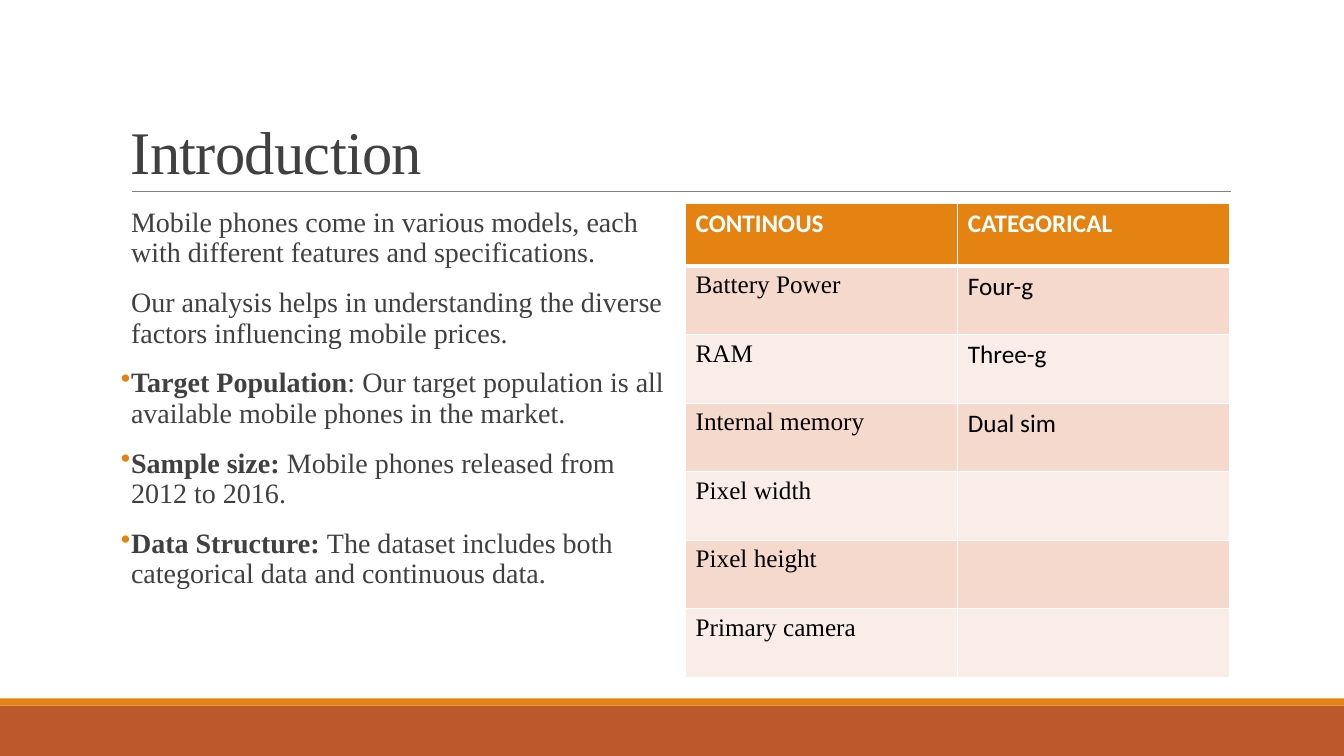
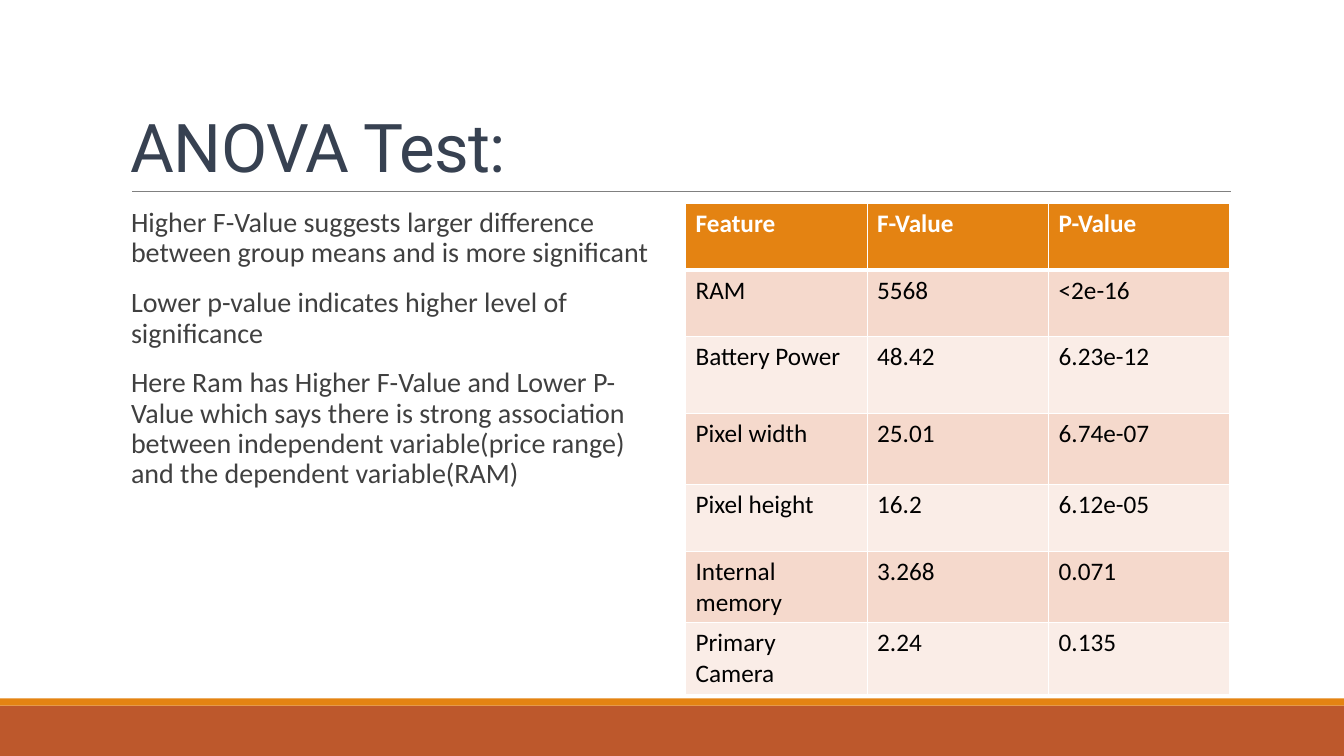
from dataclasses import dataclass

from lxml.etree import SubElement
from pptx import Presentation
from pptx.dml.color import RGBColor
from pptx.enum.shapes import MSO_CONNECTOR, MSO_SHAPE
from pptx.enum.text import MSO_ANCHOR
from pptx.oxml.ns import qn
from pptx.util import Inches, Pt


@dataclass(frozen=True)
class Theme:
    """Colours, fonts and type sizes of the presentation."""

    orange: str = "E48312"
    rust: str = "BD582C"
    rule: str = "808080"
    ink: str = "404040"
    slate: str = "374151"
    white: str = "FFFFFF"
    black: str = "000000"
    bands: tuple = ("F5D9CC", "FAEDE7")
    serif: str = "Times New Roman"
    sans: str = "Calibri"
    display: str = "Roboto"
    body_size: float = 20
    table_size: float = 18


@dataclass(frozen=True)
class Box:
    """A rectangle in inches."""

    left: float
    top: float
    width: float
    height: float

    def lengths(self):
        """Return the four measures as lengths."""
        return [Inches(value) for value in (self.left, self.top, self.width, self.height)]


THEME = Theme()
PAGE = Box(0, 0, 13.33, 7.5)
TITLE = Box(1.2, 0.31, 11, 1.59)
BODY = Box(1.2, 2.02, 5.4, 4.4)
TABLE = Box(6.8, 2.02, 5.4, 4.83)
FOOTER_HEIGHT = 0.5
STRIPE_HEIGHT = 0.07
BULLET_INDENT = 0.1


def style_run(run, font_name, size, colour, bold=False):
    """Format one run of text."""
    run.font.name = font_name
    run.font.size = Pt(size)
    run.font.color.rgb = RGBColor.from_string(colour)
    run.font.bold = bold


def add_band(slide, box, colour):
    """Draw a flat band without outline."""
    shape = slide.shapes.add_shape(MSO_SHAPE.RECTANGLE, *box.lengths())
    shape.shadow.inherit = False
    shape.fill.solid()
    shape.fill.fore_color.rgb = RGBColor.from_string(colour)
    shape.line.fill.background()


def add_frame(slide, page):
    """Draw the footer bands and the rule under the title."""
    footer_top = page.top + page.height - FOOTER_HEIGHT
    add_band(slide, Box(page.left, footer_top, page.width, FOOTER_HEIGHT), THEME.rust)
    stripe_top = footer_top - STRIPE_HEIGHT
    add_band(slide, Box(page.left, stripe_top, page.width, STRIPE_HEIGHT), THEME.orange)
    rule_left = TITLE.left + 0.11
    rule_top = Inches(TITLE.top + TITLE.height)
    rule = slide.shapes.add_connector(
        MSO_CONNECTOR.STRAIGHT, Inches(rule_left), rule_top, Inches(rule_left + 10.9), rule_top
    )
    rule.line.color.rgb = RGBColor.from_string(THEME.rule)
    rule.line.width = Pt(0.5)
    SubElement(rule._element.spPr, qn("a:effectLst"))


def add_title(slide, box, text, font_name, size, colour):
    """Write the slide title at the bottom of its box."""
    text_frame = slide.shapes.add_textbox(*box.lengths()).text_frame
    text_frame.word_wrap = True
    text_frame.vertical_anchor = MSO_ANCHOR.BOTTOM
    text_frame.text = text
    paragraph = text_frame.paragraphs[0]
    paragraph.line_spacing = 0.85
    run = paragraph.runs[0]
    style_run(run, font_name, size, colour)
    run.font._element.set("spc", "-50")


def set_bullet(paragraph, visible):
    """Indent a paragraph and give it an orange bullet if wanted."""
    properties = paragraph._p.get_or_add_pPr()
    properties.set("marL", str(Inches(BULLET_INDENT)))
    properties.set("indent", str(-Inches(BULLET_INDENT) if visible else 0))
    if visible:
        colour = SubElement(properties, qn("a:buClr"))
        SubElement(colour, qn("a:srgbClr"), val=THEME.orange)
        SubElement(properties, qn("a:buChar"), char="•")
    else:
        SubElement(properties, qn("a:buNone"))


def add_body(slide, box, entries, font_name):
    """Write paragraphs, bulleted where they open with a bold lead."""
    text_frame = slide.shapes.add_textbox(*box.lengths()).text_frame
    text_frame.word_wrap = True
    text_frame.margin_left = text_frame.margin_right = 0
    for index, (lead, text) in enumerate(entries):
        paragraph = text_frame.add_paragraph() if index else text_frame.paragraphs[0]
        paragraph.line_spacing = 0.9
        paragraph.space_before = Pt(12)
        paragraph.space_after = Pt(2)
        set_bullet(paragraph, visible=bool(lead))
        for part, bold in ((lead, True), (text, False)):
            if part:
                run = paragraph.add_run()
                run.text = part
                style_run(run, font_name, THEME.body_size, THEME.ink, bold)


def set_borders(cell, row_index):
    """Draw white cell borders, heavier below the header row."""
    properties = cell._tc.get_or_add_tcPr()
    widths = {
        "a:lnL": 1,
        "a:lnR": 1,
        "a:lnT": 3 if row_index == 1 else 1,
        "a:lnB": 3 if row_index == 0 else 1,
    }
    for tag, width in widths.items():
        line = SubElement(properties, qn(tag), w=str(Pt(width)))
        fill = SubElement(line, qn("a:solidFill"))
        SubElement(fill, qn("a:srgbClr"), val=THEME.white)


def add_data_table(slide, box, rows, row_heights, column_fonts):
    """Build a banded table with equal columns."""
    column_count = len(column_fonts)
    table = slide.shapes.add_table(len(rows), column_count, *box.lengths()).table
    for column in table.columns:
        column.width = Inches(box.width / column_count)
    for row_index, (values, height) in enumerate(zip(rows, row_heights)):
        table.rows[row_index].height = Inches(height)
        is_header = row_index == 0
        band = THEME.orange if is_header else THEME.bands[(row_index - 1) % 2]
        colour = THEME.white if is_header else THEME.black
        for column_index, value in enumerate(values):
            cell = table.cell(row_index, column_index)
            set_borders(cell, row_index)
            cell.fill.solid()
            cell.fill.fore_color.rgb = RGBColor.from_string(band)
            if value:
                cell.text_frame.text = value
                font_name = THEME.sans if is_header else column_fonts[column_index]
                run = cell.text_frame.paragraphs[0].runs[0]
                style_run(run, font_name, THEME.table_size, colour, is_header)


def add_framed_slide(presentation):
    """Add a blank slide with the shared frame."""
    slide = presentation.slides.add_slide(presentation.slide_layouts[6])
    add_frame(slide, PAGE)
    return slide


def build_introduction(presentation):
    """Build the slide that introduces the data."""
    slide = add_framed_slide(presentation)
    add_title(slide, TITLE, "Introduction", THEME.serif, 43.2, THEME.ink)
    entries = [
        ("", "Mobile phones come in various models, each with different features and specifications."),
        ("", "Our analysis helps in understanding the diverse factors influencing mobile prices."),
        ("Target Population", ": Our target population is all available mobile phones in the market."),
        ("Sample size: ", "Mobile phones released from 2012 to 2016."),
        ("Data Structure: ", "The dataset includes both categorical data and continuous data."),
    ]
    add_body(slide, BODY, entries, THEME.serif)
    rows = [
        ("CONTINOUS", "CATEGORICAL"),
        ("Battery Power", "Four-g"),
        ("RAM", "Three-g"),
        ("Internal memory", "Dual sim"),
        ("Pixel width", ""),
        ("Pixel height", ""),
        ("Primary camera", ""),
    ]
    row_heights = [0.62] + [0.68] * 6
    add_data_table(slide, TABLE, rows, row_heights, (THEME.serif, THEME.sans))


def build_anova(presentation):
    """Build the slide with the ANOVA results."""
    slide = add_framed_slide(presentation)
    add_title(slide, TITLE, "ANOVA Test:", THEME.display, 48, THEME.slate)
    entries = [
        ("", "Higher F-Value suggests larger difference between group means and is more significant"),
        ("", "Lower p-value indicates higher level of significance"),
        ("", "Here Ram has Higher F-Value and Lower P-Value which says there is strong association "
             "between independent variable(price range) and the dependent variable(RAM)"),
    ]
    add_body(slide, BODY, entries, THEME.sans)
    rows = [
        ("Feature", "F-Value", "P-Value"),
        ("RAM", "5568", "<2e-16"),
        ("Battery Power", "48.42", "6.23e-12"),
        ("Pixel width", "25.01", "6.74e-07"),
        ("Pixel height", "16.2", "6.12e-05"),
        ("Internal memory", "3.268", "0.071"),
        ("Primary Camera", "2.24", "0.135"),
    ]
    row_heights = [0.66, 0.66, 0.76, 0.71, 0.66, 0.71, 0.71]
    add_data_table(slide, TABLE, rows, row_heights, (THEME.sans,) * 3)


def main():
    """Build and save the presentation."""
    presentation = Presentation()
    presentation.slide_width = Inches(PAGE.width)
    presentation.slide_height = Inches(PAGE.height)
    build_introduction(presentation)
    build_anova(presentation)
    presentation.save("out.pptx")


if __name__ == "__main__":
    main()
